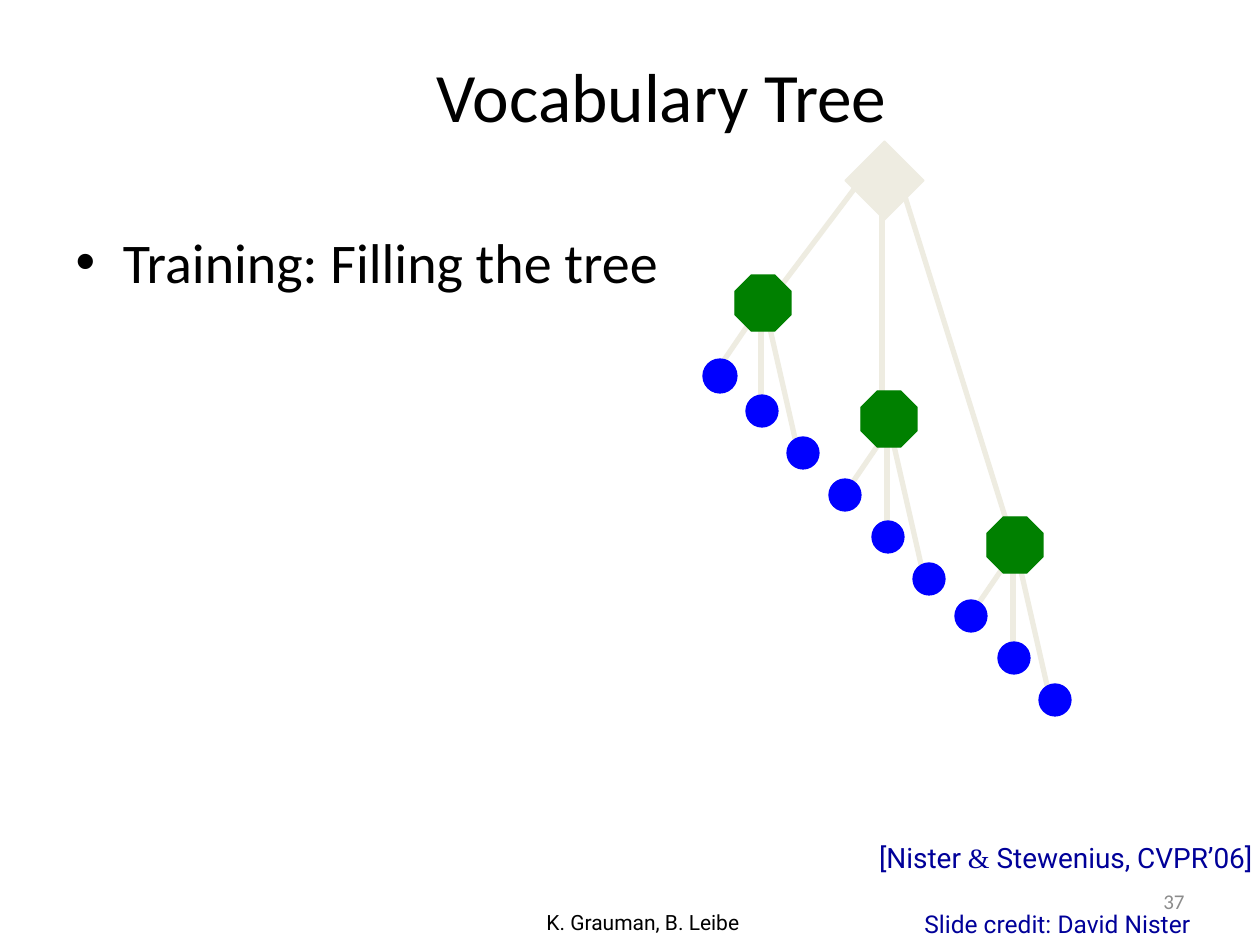
from lxml.etree import SubElement
from pptx import Presentation
from pptx.dml.color import RGBColor
from pptx.enum.shapes import MSO_CONNECTOR, MSO_SHAPE
from pptx.enum.text import MSO_ANCHOR, MSO_AUTO_SIZE, PP_ALIGN
from pptx.oxml.ns import qn
from pptx.util import Emu, Pt

SCALE = 914400 // 126
BLACK = RGBColor(0x00, 0x00, 0x00)
NAVY = RGBColor(0x00, 0x00, 0x99)
GREY = RGBColor(0x8C, 0x8C, 0x8C)
SAND = RGBColor(0xEE, 0xEC, 0xE1)
GREEN = RGBColor(0x00, 0x80, 0x00)
BLUE = RGBColor(0x00, 0x00, 0xFF)

# Corner of each branch, with the top of its octagon
BRANCHES = [(718, 306, 275), (844, 432, 391), (970, 553, 517)]
# Ends of the links and corners of the leaves, measured from the branch corner
LINKS = [(0, 63, 43, 0), (43, 3, 43, 106), (48, 5, 79, 141)]
LEAVES = [(28, 89), (69, 131), (-15, 47)]
TRUNK = [(766, 306, 861, 180), (882, 432, 882, 190), (1018, 558, 903, 190)]


def px(*nums):
    return [Emu(n * SCALE) for n in nums]


def style(font, **values):
    for name, value in values.items():
        if name == "color":
            font.color.rgb = value
        else:
            setattr(font, name, value)


def fill_holder(holder, box, text, size):
    """Move a placeholder and give it one formatted line."""
    for name, value in zip(("left", "top", "width", "height"), px(*box)):
        setattr(holder, name, value)
    holder.text_frame.text = text
    para = holder.text_frame.paragraphs[0]
    style(para.runs[0].font, name="Calibri", size=Pt(size), color=BLACK)
    return para


def add_text(slide, box, runs, size, color, align, **frame):
    """Add a one-line text box; runs are (text, font name) pairs."""
    text = slide.shapes.add_textbox(*px(*box)).text_frame
    for name, value in ({"word_wrap": True} | frame).items():
        setattr(text, name, value)
    para = text.paragraphs[0]
    para.alignment = align
    for words, face in runs:
        run = para.add_run()
        run.text = words
        style(run.font, name=face, size=Pt(size), color=color)


def add_link(slide, ends):
    link = slide.shapes.add_connector(MSO_CONNECTOR.STRAIGHT, *px(*ends))
    link.line.color.rgb = SAND
    link.line.width = Pt(3)
    SubElement(link._element.spPr, qn("a:effectLst"))


def add_node(slide, kind, box, color):
    node = slide.shapes.add_shape(kind, *px(*box))
    node.shadow.inherit = False
    node.fill.solid()
    node.fill.fore_color.rgb = color
    node.line.color.rgb = color
    node.line.width = Pt(0.75)
    return node


def add_tree(slide):
    for left, top, _ in BRANCHES:
        for x1, y1, x2, y2 in LINKS:
            add_link(slide, (left + x1, top + y1, left + x2, top + y2))
        for x, y in LEAVES:
            # The very first leaf of the tree is a little larger
            first = left == BRANCHES[0][0] and x < 0
            box = (703, 359, 34, 34) if first else (left + x, top + y, 32, 32)
            add_node(slide, MSO_SHAPE.OVAL, box, BLUE)
    for ends in TRUNK:
        add_link(slide, ends)
    add_node(slide, MSO_SHAPE.DIAMOND, (845, 141, 79, 79), SAND)
    for left, _, top in BRANCHES:
        node = add_node(slide, MSO_SHAPE.OCTAGON, (left + 17, top, 56, 56), GREEN)
        node.adjustments[0] = 0.29


def main():
    deck = Presentation()
    deck.slide_width, deck.slide_height = px(1260, 945)
    slide = deck.slides.add_slide(deck.slide_layouts[1])
    title, body = slide.placeholders
    para = fill_holder(title, (63, 53, 1197, 84), "Vocabulary Tree", 39.6)
    para.alignment = PP_ALIGN.CENTER
    title.text_frame.vertical_anchor = MSO_ANCHOR.MIDDLE
    fill_holder(body, (63, 221, 1134, 624), "Training: Filling the tree", 32)
    add_tree(slide)

    grow = {"word_wrap": False, "auto_size": MSO_AUTO_SIZE.SHAPE_TO_FIT_TEXT}
    cite = [("[Nister ", "Roboto"), ("&", "Times New Roman"),
            (" Stewenius, CVPR’06]", "Roboto")]
    add_text(slide, (328, 903, 630, 42), [("K. Grauman, B. Leibe", "Roboto")],
             12, BLACK, PP_ALIGN.CENTER)
    add_text(slide, (912, 903, 300, 42), [("Slide credit: David Nister", "Roboto")],
             14, NAVY, PP_ALIGN.LEFT, **grow)
    add_text(slide, (856, 834, 409, 47), cite, 16, NAVY, PP_ALIGN.RIGHT, **grow)
    add_text(slide, (903, 876, 294, 50), [("37", "Calibri")],
             12, GREY, PP_ALIGN.RIGHT, vertical_anchor=MSO_ANCHOR.MIDDLE)
    deck.save("out.pptx")


if __name__ == "__main__":
    main()
